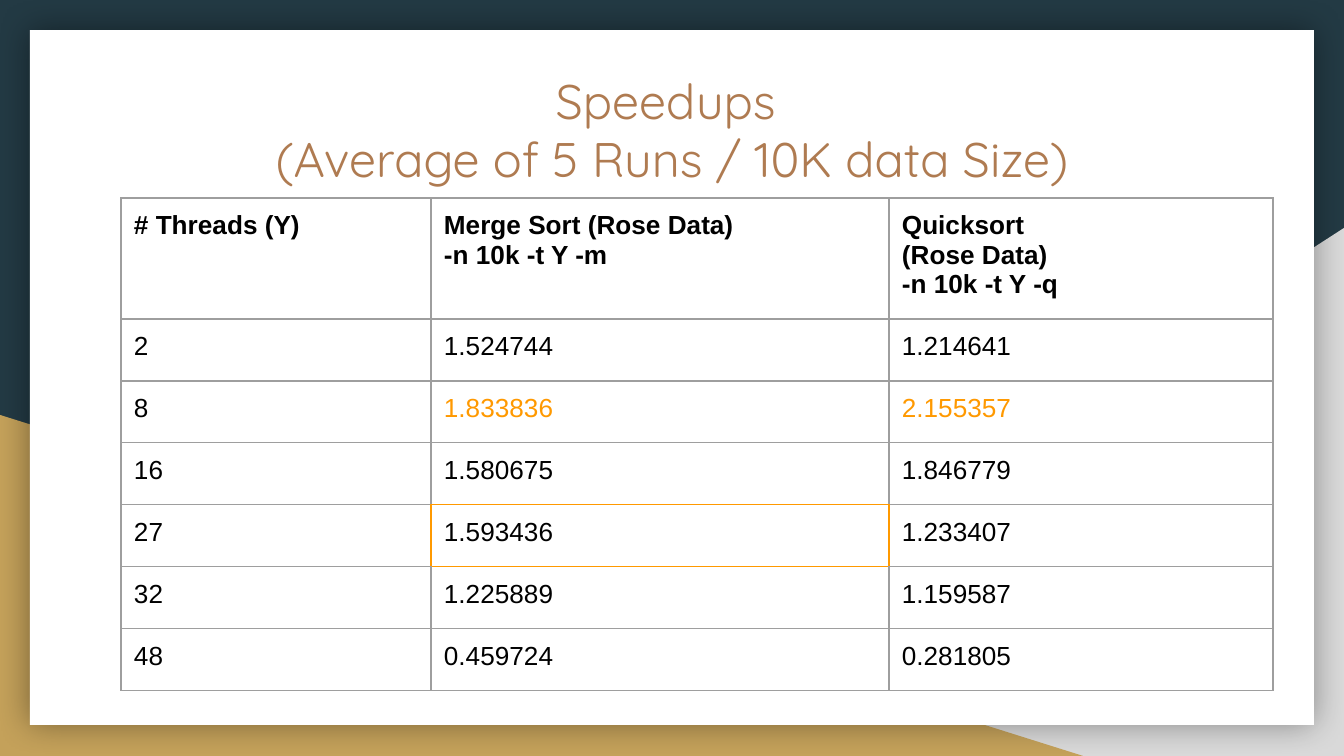
"""Build the slide of sorting speedups by thread count."""
from lxml.etree import SubElement
from pptx import Presentation
from pptx.dml.color import RGBColor
from pptx.enum.shapes import MSO_SHAPE
from pptx.enum.text import PP_ALIGN
from pptx.oxml import parse_xml
from pptx.oxml.ns import nsdecls, qn
from pptx.util import Emu, Pt

NAVY = RGBColor(0x23, 0x3A, 0x44)
LIGHT_GRAY = RGBColor(0xD9, 0xD9, 0xD9)
GOLD = RGBColor(0xC4, 0xA1, 0x5A)
WHITE = RGBColor(0xFF, 0xFF, 0xFF)
BROWN = RGBColor(0xAF, 0x7B, 0x51)
BLACK = RGBColor(0x00, 0x00, 0x00)
ORANGE = RGBColor(0xFF, 0x99, 0x00)
BORDER_GRAY = RGBColor(0x9E, 0x9E, 0x9E)


def px(length):
    return Emu(round(length * 914400 / 134.4))


def write(text_frame, text, font="Arial", size=14, color=BLACK, bold=False, align=PP_ALIGN.LEFT):
    text_frame.word_wrap = True
    text_frame.text = text
    for paragraph in text_frame.paragraphs:
        paragraph.alignment = align
        for run in paragraph.runs:
            run.font.name = font
            run.font.size = Pt(size)
            run.font.bold = bold
            run.font.color.rgb = color


presentation = Presentation()
presentation.slide_width = px(1344)
presentation.slide_height = px(756)
slide = presentation.slides.add_slide(presentation.slide_layouts[6])
slide.background.fill.solid()
slide.background.fill.fore_color.rgb = NAVY

backdrop = []
for preset, left, top, width, height, color in [
    (MSO_SHAPE.RIGHT_TRIANGLE, 527, 228, 817, 528, LIGHT_GRAY),
    (MSO_SHAPE.RIGHT_TRIANGLE, 0, 415, 1083, 341, GOLD),
    (MSO_SHAPE.RECTANGLE, 30, 30, 1284, 695, WHITE),
]:
    shape = slide.shapes.add_shape(preset, px(left), px(top), px(width), px(height))
    shape.shadow.inherit = False
    shape.fill.solid()
    shape.fill.fore_color.rgb = color
    shape.line.fill.background()
    backdrop.append(shape)

gray_triangle, gold_triangle, card = backdrop
gray_triangle.element.spPr.find(qn("a:xfrm")).set("flipH", "1")
effects = card.element.spPr.find(qn("a:effectLst"))
shadow = SubElement(effects, qn("a:outerShdw"), blurRad=str(Pt(18)), dist="0", dir="0",
                    algn="ctr", rotWithShape="0")
shadow_color = SubElement(shadow, qn("a:srgbClr"), val=str(BLACK))
SubElement(shadow_color, qn("a:alpha"), val="40000")

title = slide.shapes.add_textbox(px(121), px(58), px(1103), px(140))
title_frame = title.text_frame
title_frame.margin_left = title_frame.margin_right = px(13)
title_frame.margin_top = title_frame.margin_bottom = px(13)
write(title_frame, "Speedups \v(Average of 5 Runs / 10K data Size)",
      font="Quicksand", size=26, color=BROWN, align=PP_ALIGN.CENTER)

rows = [
    ("# Threads (Y)", "Merge Sort (Rose Data)\n-n 10k -t Y -m", "Quicksort\n(Rose Data)\n-n 10k -t Y -q"),
    ("2", "1.524744", "1.214641"),
    ("8", "1.833836", "2.155357"),
    ("16", "1.580675", "1.846779"),
    ("27", "1.593436", "1.233407"),
    ("32", "1.225889", "1.159587"),
    ("48", "0.459724", "0.281805"),
]
column_widths = [310, 458, 384]
row_heights = [121] + [62] * 6
best_cells = {(2, 1), (2, 2)}
outlined_cell = (4, 1)
sides = {"lnL": (0, -1), "lnR": (0, 1), "lnT": (-1, 0), "lnB": (1, 0)}

table = slide.shapes.add_table(len(rows), len(column_widths), px(121), px(198),
                               px(sum(column_widths)), px(sum(row_heights))).table
table.first_row = False
table.horz_banding = False
for column, width in zip(table.columns, column_widths):
    column.width = px(width)
for row, height in zip(table.rows, row_heights):
    row.height = px(height)

for row_index, row in enumerate(rows):
    for column_index, text in enumerate(row):
        position = (row_index, column_index)
        cell = table.cell(row_index, column_index)
        cell.fill.background()
        cell.margin_left = cell.margin_right = px(13)
        cell.margin_top = cell.margin_bottom = px(13)
        write(cell.text_frame, text, bold=row_index == 0,
              color=ORANGE if position in best_cells else BLACK)
        properties = cell._tc.get_or_add_tcPr()
        for order, (side, (down, across)) in enumerate(sides.items()):
            neighbour = (row_index + down, column_index + across)
            color = ORANGE if outlined_cell in (position, neighbour) else BORDER_GRAY
            properties.insert(order, parse_xml(
                f'<a:{side} {nsdecls("a")} w="{Pt(0.75)}"><a:solidFill>'
                f'<a:srgbClr val="{color}"/></a:solidFill></a:{side}>'))

presentation.save("out.pptx")
